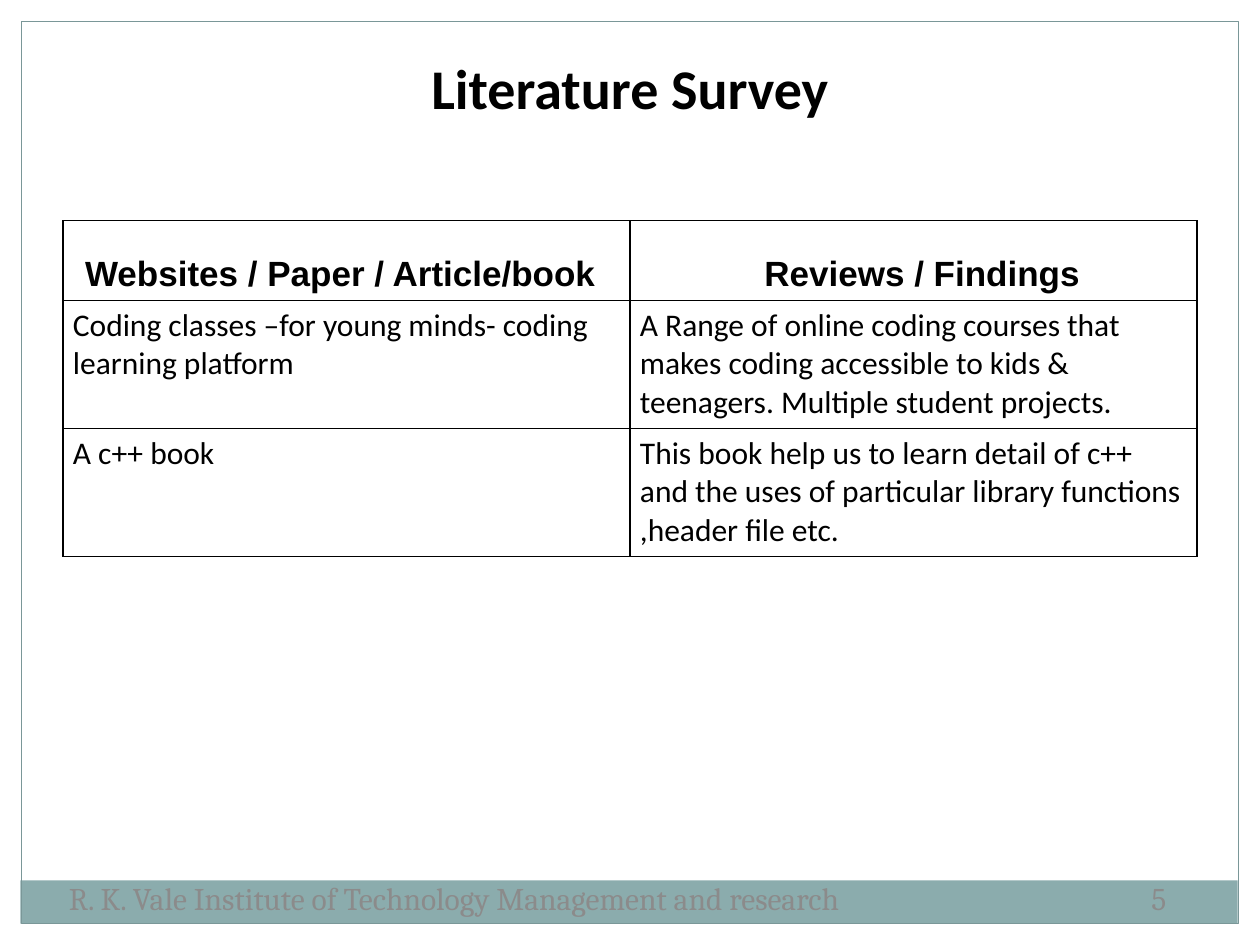
from lxml.etree import SubElement
from pptx import Presentation
from pptx.dml.color import RGBColor
from pptx.enum.shapes import MSO_SHAPE
from pptx.enum.text import MSO_ANCHOR, PP_ALIGN
from pptx.oxml.ns import qn
from pptx.util import Cm, Pt

BLACK = RGBColor(0, 0, 0)
GREY = RGBColor(0x8B, 0x8B, 0x8B)
TEAL = RGBColor(0x8B, 0xAC, 0xAD)
FRAME = RGBColor(0x7A, 0x97, 0x98)

TITLE = "Literature Survey"
ROWS = [
    ("Websites / Paper / Article/book", "Reviews / Findings"),
    ("Coding classes –for young minds- coding learning platform",
     "A Range of online coding courses that makes coding accessible to kids & teenagers. "
     "Multiple student projects."),
    ("A c++ book",
     "This book help us to learn detail of c++ and the uses of particular library functions "
     ",header file etc."),
]
ROW_HEIGHTS = [Cm(1.6), Cm(2.58), Cm(2.58)]
HEADER_MARGINS = [(Cm(0.2), Cm(0.45)), (Cm(0.55), Cm(0.2))]
FOOTERS = [
    ("R. K. Vale Institute of Technology Management and research", Cm(1.14), Cm(18.54)),
    ("5", Cm(22.96), Cm(1.63)),
]


def write(frame, text, font, size, color, bold=False, align=PP_ALIGN.LEFT):
    frame.text = text
    frame.word_wrap = True
    for para in frame.paragraphs:
        para.alignment = align
        for span in para.runs:
            span.font.name = font
            span.font.size = Pt(size)
            span.font.bold = bold
            span.font.color.rgb = color


def add_rectangle(page, left, top, width, height):
    box = page.shapes.add_shape(MSO_SHAPE.RECTANGLE, left, top, width, height)
    box.shadow.inherit = False
    return box


def add_borders(cell):
    properties = cell._tc.get_or_add_tcPr()
    for position, side in enumerate(("a:lnL", "a:lnR", "a:lnT", "a:lnB")):
        line = SubElement(properties, qn(side), w=str(Pt(0.75)))
        fill = SubElement(line, qn("a:solidFill"))
        SubElement(fill, qn("a:srgbClr"), val=str(BLACK))
        properties.insert(position, line)


deck = Presentation()
deck.slide_width, deck.slide_height = Cm(25.4), Cm(19.05)
page = deck.slides.add_slide(deck.slide_layouts[5])

bar = add_rectangle(page, Cm(0.41), Cm(17.75), Cm(24.54), Cm(0.87))
bar.fill.solid()
bar.fill.fore_color.rgb = TEAL
bar.line.fill.background()

border = add_rectangle(page, Cm(0.43), Cm(0.43), Cm(24.54), Cm(18.19))
border.fill.background()
border.line.color.rgb = FRAME
border.line.width = Pt(0.75)

title = page.shapes.title
title.left, title.top, title.width, title.height = Cm(1.27), Cm(0.76), Cm(22.86), Cm(1.98)
write(title.text_frame, TITLE, "Calibri", 32, BLACK, True, PP_ALIGN.CENTER)
title.text_frame.vertical_anchor = MSO_ANCHOR.MIDDLE

survey = page.shapes.add_table(len(ROWS), 2, Cm(1.27), Cm(4.45), Cm(22.86), sum(ROW_HEIGHTS)).table
survey.horz_banding = False
for row, (texts, height) in enumerate(zip(ROWS, ROW_HEIGHTS)):
    survey.rows[row].height = height
    for column, text in enumerate(texts):
        cell = survey.cell(row, column)
        cell.margin_left = cell.margin_right = Cm(0.2)
        cell.fill.background()
        if row == 0:
            cell.margin_left, cell.margin_right = HEADER_MARGINS[column]
            cell.vertical_anchor = MSO_ANCHOR.BOTTOM
            write(cell.text_frame, text, "Arial", 20, BLACK, True, PP_ALIGN.CENTER)
        else:
            write(cell.text_frame, text, "Calibri", 18, BLACK)
        add_borders(cell)

for text, left, width in FOOTERS:
    box = page.shapes.add_textbox(left, Cm(17.15), width, Cm(1.9))
    write(box.text_frame, text, "Cambria", 18, GREY)
    box.text_frame.vertical_anchor = MSO_ANCHOR.MIDDLE

deck.save("out.pptx")
